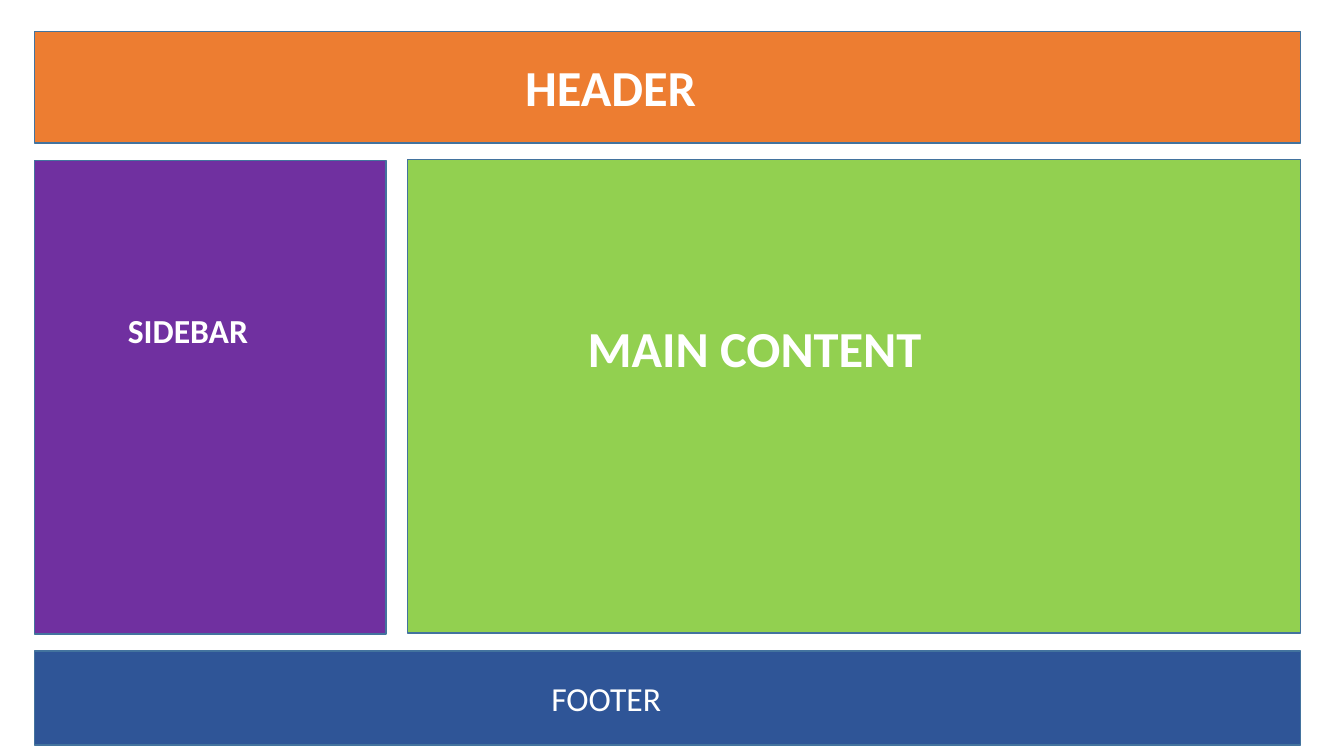
from pptx import Presentation
from pptx.dml.color import RGBColor
from pptx.enum.shapes import MSO_SHAPE
from pptx.enum.text import MSO_AUTO_SIZE
from pptx.util import Inches, Pt

WIDTH, HEIGHT = 13.33, 7.5

# Page grid, in inches
LEFT, RIGHT = 0.34, 12.9
SIDEBAR_WIDTH, MAIN_LEFT = 3.49, 4.04
HEADER_TOP, HEADER_HEIGHT = 0.31, 1.11
SIDEBAR_TOP, MAIN_TOP, BODY_HEIGHT = 1.59, 1.58, 4.7
FOOTER_TOP, FOOTER_HEIGHT = 6.46, 0.93
FULL_WIDTH = RIGHT - LEFT


def color(hex_string):
    return RGBColor.from_string(hex_string)


class LayoutSlide:
    font_name = "Calibri"
    text_color = "FFFFFF"
    outline_color = "43739E"
    outline_width = 1

    def __init__(self, presentation):
        self.slide = presentation.slides.add_slide(presentation.slide_layouts[6])

    def region(self, left, top, width, height, fill):
        """Draw one outlined block of the page layout."""
        shape = self.slide.shapes.add_shape(
            MSO_SHAPE.RECTANGLE, *map(Inches, (left, top, width, height)))
        shape.shadow.inherit = False
        shape.fill.solid()
        shape.fill.fore_color.rgb = color(fill)
        shape.line.color.rgb = color(self.outline_color)
        shape.line.width = Pt(self.outline_width)

    def label(self, left, top, width, height, text, size, bold=True):
        box = self.slide.shapes.add_textbox(
            *map(Inches, (left, top, width, height)))
        frame = box.text_frame
        frame.word_wrap = True
        frame.auto_size = MSO_AUTO_SIZE.SHAPE_TO_FIT_TEXT
        run = frame.paragraphs[0].add_run()
        run.text = text
        run.font.name = self.font_name
        run.font.size = Pt(size)
        run.font.bold = bold
        run.font.color.rgb = color(self.text_color)


def main():
    presentation = Presentation()
    presentation.slide_width = Inches(WIDTH)
    presentation.slide_height = Inches(HEIGHT)
    page = LayoutSlide(presentation)

    page.region(LEFT, HEADER_TOP, FULL_WIDTH, HEADER_HEIGHT, "ED7D31")
    page.region(MAIN_LEFT, MAIN_TOP, RIGHT - MAIN_LEFT, BODY_HEIGHT, "92D050")
    page.region(LEFT, FOOTER_TOP, FULL_WIDTH, FOOTER_HEIGHT, "2F5597")
    page.region(LEFT, SIDEBAR_TOP, SIDEBAR_WIDTH, BODY_HEIGHT, "7030A0")

    page.label(5.11, 0.51, 3.01, 0.71, "HEADER", 36)
    page.label(5.73, 3.1, 4.51, 0.71, "MAIN CONTENT", 36)
    page.label(1.17, 3.03, 2.07, 0.5, "SIDEBAR", 24)
    page.label(5.37, 6.68, 2.76, 0.5, "FOOTER", 24, bold=False)

    presentation.save("out.pptx")


if __name__ == "__main__":
    main()
